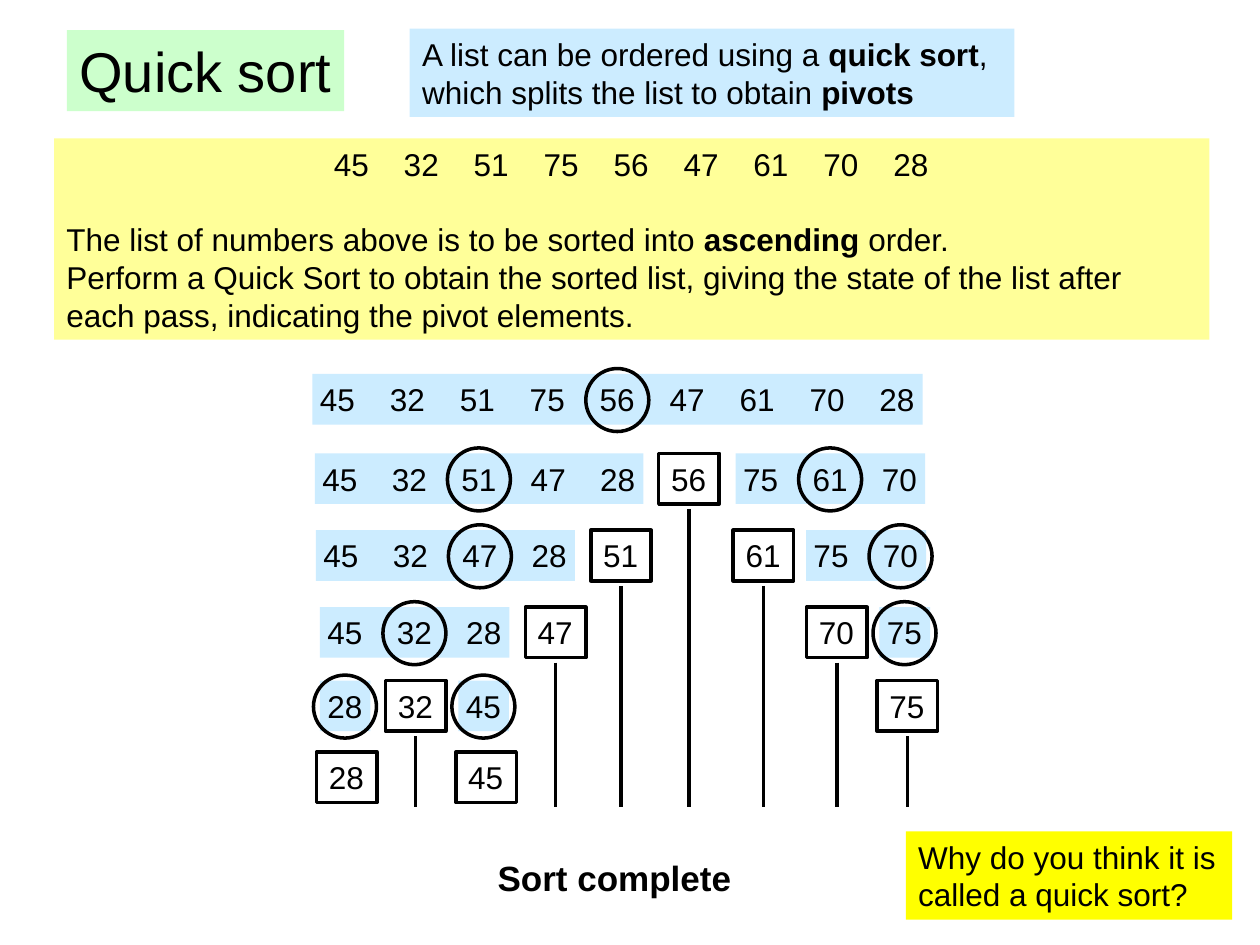
from lxml.etree import SubElement
from pptx import Presentation
from pptx.dml.color import RGBColor
from pptx.enum.shapes import MSO_CONNECTOR, MSO_SHAPE
from pptx.enum.text import MSO_ANCHOR, MSO_AUTO_SIZE, PP_ALIGN
from pptx.oxml.ns import qn
from pptx.util import Cm, Pt

HUES = {"ink": "000000", "sky": "CCECFF", "mint": "CCFFCC",
        "cream": "FFFF99", "sun": "FFFF00"}

# Lengths in cm
STEP, WIDE, HIGH, RING = 1.4, 1.22, 1.02, 1.27
TAB = 1.41
FOOT = 16.27
LIST = [45, 32, 51, 75, 56, 47, 61, 70, 28]

# Each pass: top, sublists (left, numbers, pivot place), used pivots (left, number)
PASSES = [
    (9.14, [(6.25, [45, 32, 51, 47, 28], 2), (14.73, [75, 61, 70], 1)],
     [(13.28, 56)]),
    (10.69, [(6.27, [45, 32, 47, 28], 2), (16.15, [75, 70], 1)],
     [(11.91, 51), (14.78, 61)]),
    (12.24, [(6.35, [45, 32, 28], 1), (17.63, [75], 0)],
     [(10.59, 47), (16.26, 70)]),
    (13.72, [(6.35, [28], 0), (9.14, [45], 0)],
     [(7.77, 32), (17.68, 75)]),
]
LAST = (15.16, [(6.38, 28), (9.19, 45)])


def hue(name):
    return RGBColor.from_string(HUES[name])


def put(item, form):
    for key, value in form.items():
        setattr(item, key, value)


def write(shape, paras, size=18, wrap=True, bold=False):
    """Fill a shape; each paragraph is a list of runs, every second one bold."""
    frame = shape.text_frame
    put(frame, {"word_wrap": wrap, "vertical_anchor": MSO_ANCHOR.TOP,
                "auto_size": MSO_AUTO_SIZE.SHAPE_TO_FIT_TEXT})
    for i, runs in enumerate(paras):
        para = frame.paragraphs[0] if i == 0 else frame.add_paragraph()
        para.alignment = PP_ALIGN.LEFT
        for j, text in enumerate(runs):
            run = para.add_run()
            run.text = text
            put(run.font, {"name": "Arial", "size": Pt(size),
                           "bold": bold or j % 2 == 1})
            run.font.color.rgb = hue("ink")
    return frame


def stops(para, start, count):
    """Set evenly spaced tab stops."""
    tabs = SubElement(para._p.get_or_add_pPr(), qn("a:tabLst"))
    for i in range(count):
        SubElement(tabs, qn("a:tab"), pos=str(Cm(start + i * TAB)), algn="l")


def shape(slide, kind, box, fill=None, line=False):
    item = slide.shapes.add_shape(kind, *map(Cm, box))
    item.shadow.inherit = False
    if fill:
        item.fill.solid()
        item.fill.fore_color.rgb = hue(fill)
    else:
        item.fill.background()
    if line:
        item.line.width = Pt(2)
        item.line.color.rgb = hue("ink")
    else:
        item.line.fill.background()
    return item


def panel(slide, box, fill, paras, **form):
    return write(shape(slide, MSO_SHAPE.RECTANGLE, box, fill), paras, **form)


def label(slide, box, text, **form):
    return write(slide.shapes.add_textbox(*map(Cm, box)), [[text]], **form)


def band(slide, left, top, wide):
    box = (left + 0.1, top, wide - 0.2, HIGH)
    shape(slide, MSO_SHAPE.RECTANGLE, box, "sky")


def ring(slide, left, top):
    box = (left - 0.03, top - 0.11, RING, RING)
    shape(slide, MSO_SHAPE.OVAL, box, line=True)


def group(slide, left, top, nums, pivot):
    """A sublist on its band, with the pivot ringed."""
    band(slide, left, top, (len(nums) - 1) * STEP + WIDE)
    for i, num in enumerate(nums):
        box = (left + i * STEP, top, WIDE, HIGH)
        label(slide, box, str(num), wrap=False)
    ring(slide, left + pivot * STEP, top)


def cell(slide, left, top, num):
    """A number in its final place."""
    box = (left, top, WIDE, HIGH)
    item = shape(slide, MSO_SHAPE.RECTANGLE, box, line=True)
    write(item, [[str(num)]], wrap=False)


def stem(slide, left, top):
    x = Cm(left + WIDE / 2)
    line = slide.shapes.add_connector(
        MSO_CONNECTOR.STRAIGHT, x, Cm(top + HIGH + 0.1), x, Cm(FOOT))
    line.line.width = Pt(2)
    line.line.color.rgb = hue("ink")
    SubElement(line._element.spPr, qn("a:effectLst"))


def main():
    deck = Presentation()
    put(deck, {"slide_width": Cm(25.4), "slide_height": Cm(19.05)})
    slide = deck.slides.add_slide(deck.slide_layouts[6])
    row = "\t".join(map(str, LIST))

    # Title and summary
    panel(slide, (1.35, 0.61, 5.59, 1.63), "mint", [["Quick sort"]],
          size=32, wrap=False)
    panel(slide, (8.26, 0.58, 12.19, 1.78), "sky", [
        ["A list can be ordered using a ", "quick sort",
         ", which splits the list to obtain ", "pivots"]])

    # Task
    task = panel(slide, (1.09, 2.79, 23.29, 4.06), "cream", [
        ["\t" + row],
        ["The list of numbers above is to be sorted into ", "ascending",
         " order."],
        ["Perform a Quick Sort to obtain the sorted list, giving the state of "
         "the list after each pass, indicating the pivot elements."]])
    stops(task.paragraphs[0], 5.39, len(LIST))
    task.paragraphs[1].space_before = Pt(21.6)

    # Starting list
    left, top = 6.2, 7.54
    wide = (len(LIST) - 1) * TAB + WIDE
    band(slide, left, top, wide)
    start = label(slide, (left, top, wide, HIGH), row, wrap=False)
    stops(start.paragraphs[0], TAB, len(LIST) - 1)
    ring(slide, left + LIST.index(56) * TAB, top)

    # Passes
    for top, lists, used in PASSES:
        for left, nums, pivot in lists:
            group(slide, left, top, nums, pivot)
        for left, num in used:
            cell(slide, left, top, num)
            stem(slide, left, top)
    top, used = LAST
    for left, num in used:
        cell(slide, left, top, num)

    # Closing words
    label(slide, (9.78, 17.15, 5.51, 1.12), "Sort complete", size=20, bold=True)
    panel(slide, (18.26, 16.76, 6.58, 1.78), "sun",
          [["Why do you think it is called a quick sort?"]])

    deck.save("out.pptx")


if __name__ == "__main__":
    main()
